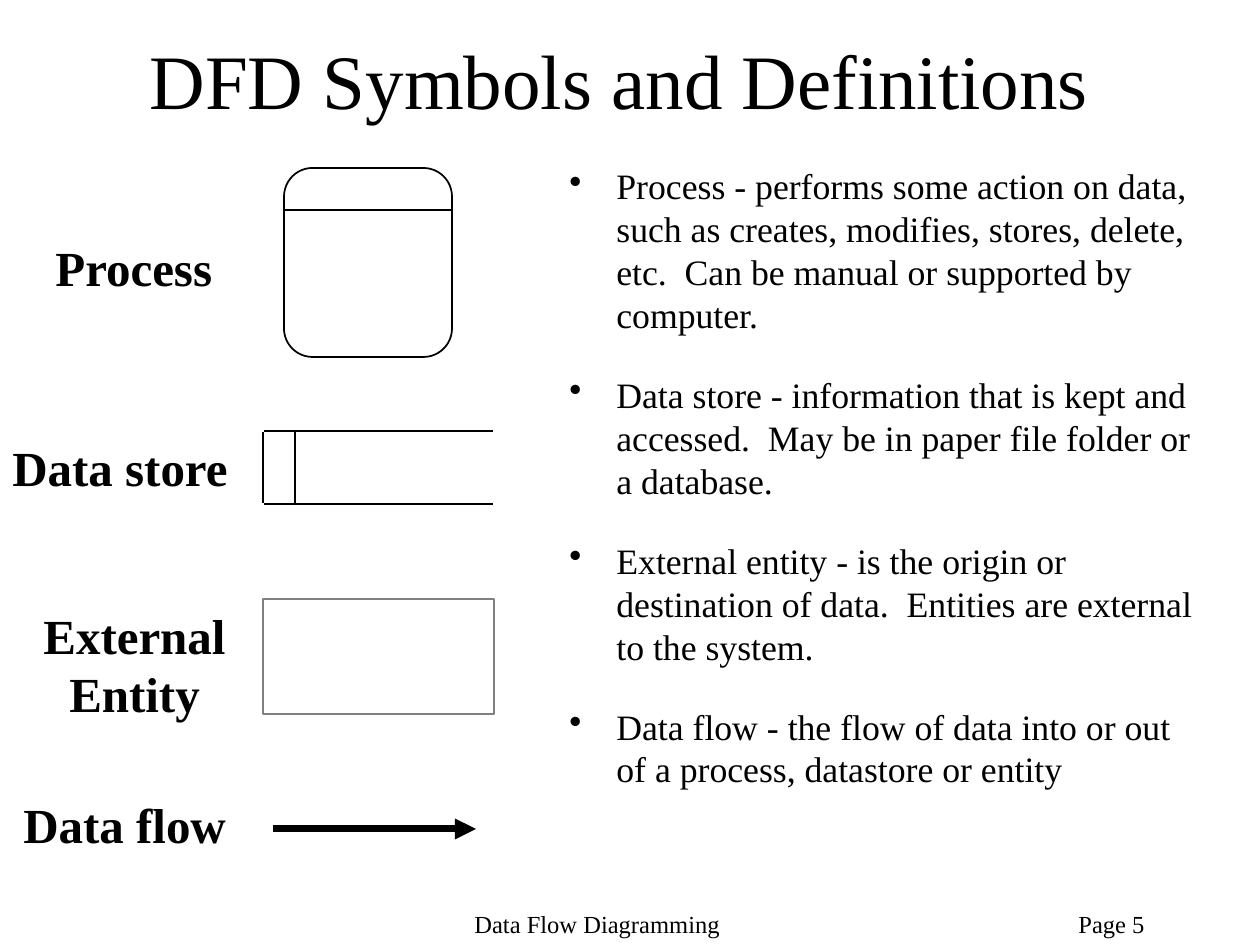
from lxml import etree
from pptx import Presentation
from pptx.dml.color import RGBColor
from pptx.enum.shapes import MSO_CONNECTOR, MSO_SHAPE
from pptx.enum.text import MSO_ANCHOR, PP_ALIGN
from pptx.oxml.ns import qn
from pptx.util import Pt

EMU_PER_PX = 914400 / 126
FONT = "Times New Roman"
BLACK = "000000"
GREY = "808080"
LEFT, CENTER = PP_ALIGN.LEFT, PP_ALIGN.CENTER
MIDDLE = MSO_ANCHOR.MIDDLE
STRAIGHT = MSO_CONNECTOR.STRAIGHT
RECTANGLE, ROUNDED = MSO_SHAPE.RECTANGLE, MSO_SHAPE.ROUNDED_RECTANGLE

LABELS = [
    ("Process", 43, 231, 183, 71),
    ("Data store", 0, 431, 241, 71),
    ("External\nEntity", 31, 599, 207, 130),
    ("Data flow", 11, 788, 228, 71),
]
FOOTERS = [
    ("Data Flow Diagramming", 462, 903, 271, 43),
    ("Page 5", 1066, 903, 181, 43),
]
DEFINITIONS = [
    "Process - performs some action on data, such as creates, modifies, stores, "
    "delete, etc.  Can be manual or supported by computer.",
    "Data store - information that is kept and accessed.  May be in paper file "
    "folder or a database.",
    "External entity - is the origin or destination of data.  Entities are "
    "external to the system.",
    "Data flow - the flow of data into or out of a process, datastore or entity",
]


def px(length):
    return round(length * EMU_PER_PX)


def color(hex_code):
    return RGBColor.from_string(hex_code)


def write(frame, text, size, bold=False, align=LEFT, wrap=True):
    """Fill a text frame, one paragraph for each line of text."""
    frame.word_wrap = wrap
    frame.text = text
    for para in frame.paragraphs:
        para.alignment = align
        for span in para.runs:
            span.font.name = FONT
            span.font.size = Pt(size)
            span.font.bold = bold
            span.font.color.rgb = color(BLACK)


def add_text(page, text, left, top, width, height, **style):
    box = page.shapes.add_textbox(px(left), px(top), px(width), px(height))
    write(box.text_frame, text, **style)
    return box


def add_outline(page, kind, left, top, width, height, line_color=BLACK):
    shape = page.shapes.add_shape(kind, px(left), px(top), px(width), px(height))
    shape.shadow.inherit = False
    shape.fill.background()
    shape.line.color.rgb = color(line_color)
    shape.line.width = Pt(1)
    return shape


def add_line(page, x1, y1, x2, y2, width=1, arrow=False):
    line = page.shapes.add_connector(STRAIGHT, px(x1), px(y1), px(x2), px(y2))
    line.line.color.rgb = color(BLACK)
    line.line.width = Pt(width)
    if arrow:
        etree.SubElement(line.line._get_or_add_ln(), qn("a:tailEnd"), type="triangle")
    etree.SubElement(line._element.spPr, qn("a:effectLst"))


def add_title(page, text):
    title = page.shapes.title
    title.left, title.top = px(84), px(0)
    title.width, title.height = px(1071), px(158)
    title.text_frame.vertical_anchor = MIDDLE
    write(title.text_frame, text, size=44, align=CENTER)


def add_process_symbol(page):
    symbol = add_outline(page, ROUNDED, 284, 168, 168, 189)
    symbol.adjustments[0] = 0.17
    add_line(page, 284, 210, 452, 210)


def add_store_symbol(page):
    for y in (431, 504):
        add_line(page, 264, y, 493, y)
    for x in (263, 295):
        add_line(page, x, 432, x, 503)


def add_definitions(page):
    box = add_text(page, "\n".join(DEFINITIONS), 557, 158, 662, 651, size=20.4)
    for index, para in enumerate(box.text_frame.paragraphs):
        para.space_before = Pt(21.25 if index else 6)
        props = para._p.get_or_add_pPr()
        props.set("marL", str(px(47)))
        props.set("indent", str(-px(47)))
        etree.SubElement(props, qn("a:buChar"), char="•")


def main():
    deck = Presentation()
    deck.slide_width, deck.slide_height = px(1260), px(945)
    page = deck.slides.add_slide(deck.slide_layouts[5])
    add_title(page, "DFD Symbols and Definitions")
    for text, *area in FOOTERS:
        add_text(page, text, *area, size=14, wrap=False)
    for text, *area in LABELS:
        align = CENTER if "\n" in text else LEFT
        add_text(page, text, *area, size=28, bold=True, align=align, wrap=False)
    add_process_symbol(page)
    add_store_symbol(page)
    add_outline(page, RECTANGLE, 263, 599, 231, 115, line_color=GREY)
    add_line(page, 273, 829, 476, 829, width=4, arrow=True)
    add_definitions(page)
    deck.save("out.pptx")


if __name__ == "__main__":
    main()
